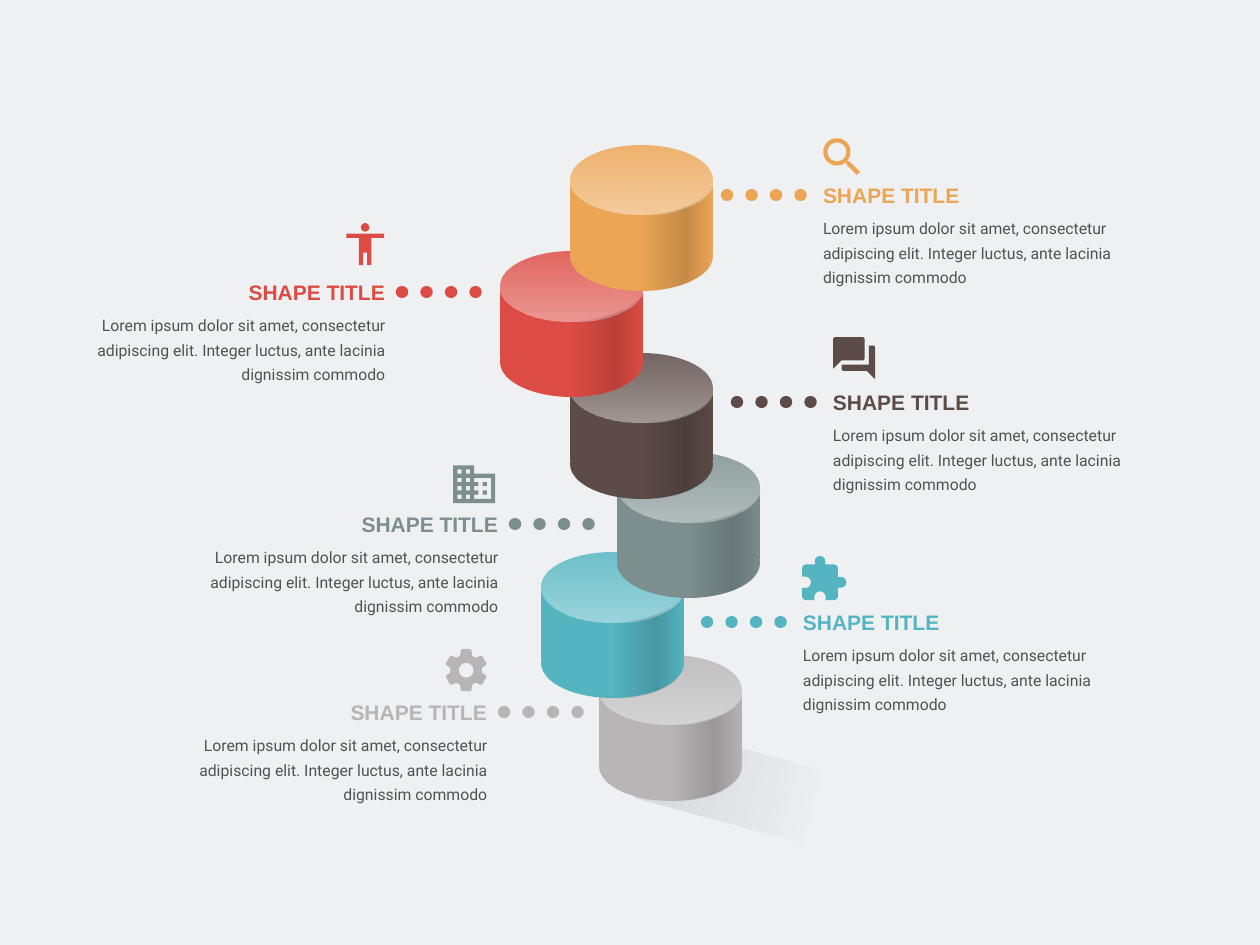
from math import cos, sin, radians
from lxml.etree import SubElement as Sub
from pptx import Presentation
from pptx.dml.color import RGBColor as Rgb
from pptx.enum.dml import MSO_LINE as Dash
from pptx.enum.shapes import MSO_CONNECTOR as Link, MSO_SHAPE as Kind
from pptx.enum.text import MSO_ANCHOR as Anchor, MSO_AUTO_SIZE as Auto, PP_ALIGN as Align
from pptx.oxml.ns import qn
from pptx.util import Pt

PX = 914400 / 126
GRID = 100
UNIT = 15240 / GRID

BACK = Rgb(0xEE, 0xF0, 0xF2)
BLACK = Rgb(0, 0, 0)
WHITE = Rgb(0xFF, 0xFF, 0xFF)
RED = Rgb(0xDD, 0x4C, 0x44)
TEAL = Rgb(0x54, 0xB5, 0xC1)
GOLD = Rgb(0xEC, 0xA5, 0x55)
GRAY = Rgb(0xB7, 0xB5, 0xB5)
SAGE = Rgb(0x7C, 0x8E, 0x8E)
BROWN = Rgb(0x5C, 0x4B, 0x46)

BODY = ("Lorem ipsum dolor sit amet, consectetur adipiscing elit. "
        "Integer luctus, ante lacinia dignissim commodo")


def px(n):
    return round(n * PX)


def arc(x, y, rx, start, end, ry=None, steps=16):
    ry = ry or rx
    turns = [radians(start + (end - start) * i / steps) for i in range(steps + 1)]
    return [(x + rx * cos(t), y + ry * sin(t)) for t in turns]


def ring(x, y, r):
    return arc(x, y, r, 0, 360, steps=40)


def box(x, y, size=2):
    return [(x, y), (x + size, y), (x + size, y + size), (x, y + size)]


def spin(dots, deg):
    c, s = cos(radians(deg)), sin(radians(deg))
    return [(12 + (x - 12) * c - (y - 12) * s,
             12 + (x - 12) * s + (y - 12) * c) for x, y in dots]


def person():
    return [ring(12, 4, 2),
            [(21, 9), (15, 9), (15, 22), (13, 22), (13, 16), (11, 16),
             (11, 22), (9, 22), (9, 9), (3, 9), (3, 7), (21, 7)]]


def puzzle():
    return [[(19, 11)] + arc(17, 7, 2, 0, -90) + [(13, 5)]
            + arc(10.5, 3.5, 2.5, 0, -180) + [(8, 5)]
            + arc(4, 7, 2, 270, 180) + [(2, 10.8)]
            + arc(3.5, 13.5, 2.7, -90, 90) + [(2, 16.2)]
            + arc(4, 20, 2, 180, 90) + [(7.8, 22)]
            + arc(10.5, 20.5, 2.7, 180, 360) + [(13.2, 22)]
            + arc(17, 20, 2, 90, 0) + [(19, 16)]
            + arc(20.5, 13.5, 2.5, 90, -90)]


def lens():
    rim = arc(9.5, 9.5, 6.5, 41, -311, steps=40)
    grip = [(14, 14.71), (14, 15.5), (19, 20.49), (20.49, 19),
            (15.5, 14), (14.71, 14)]
    return [rim + grip, ring(9.5, 9.5, 4.5)]


def gear():
    tooth = [(9.13, 5.07), (9.51, 2.42), (10, 2), (14, 2),
             (14.49, 2.42), (14.87, 5.07)]
    rim = [dot for i in range(6) for dot in spin(tooth, 60 * i)]
    return [rim, ring(12, 12, 3.5)]


def office():
    wall = [(12, 7), (12, 3), (2, 3), (2, 21), (22, 21), (22, 7)]
    room = [(20, 19), (12, 19), (12, 17), (14, 17), (14, 15), (12, 15),
            (12, 13), (14, 13), (14, 11), (12, 11), (12, 9), (20, 9)]
    panes = [box(x, y) for x in (4, 8) for y in range(5, 18, 4)]
    return [wall, room] + panes + [box(16, 11), box(16, 15)]


def chat():
    rear = ([(19, 6), (19, 15), (6, 15)] + arc(7, 17, 1, 180, 90)
            + [(18, 18), (22, 22)] + arc(21, 7, 1, 0, -90))
    front = (arc(16, 12, 1, 90, 0) + arc(16, 3, 1, 0, -90)
             + arc(3, 3, 1, 270, 180) + [(2, 17), (6, 13)])
    return [rear, front]


class Deck:
    font, head = "Roboto", "Arial"

    def __init__(self):
        self.prs = Presentation()
        self.prs.slide_width, self.prs.slide_height = px(1260), px(945)
        self.page = self.prs.slides.add_slide(self.prs.slide_layouts[6])
        fill = self.page.background.fill
        fill.solid()
        fill.fore_color.rgb = BACK

    def paint(self, shape, color):
        shape.shadow.inherit = False
        shape.line.fill.background()
        shape.fill.solid()
        shape.fill.fore_color.rgb = color

    def fade(self, shape, color, stops, deg):
        self.paint(shape, color)
        props = shape.fill._xPr
        old = props.find(qn("a:solidFill"))
        grad = props.makeelement(qn("a:gradFill"), {"rotWithShape": "1"})
        props.replace(old, grad)
        row = Sub(grad, qn("a:gsLst"))
        for pos, alpha in stops:
            stop = Sub(row, qn("a:gs"), pos=str(pos * 1000))
            tone = Sub(stop, qn("a:srgbClr"), val=str(color))
            Sub(tone, qn("a:alpha"), val=str(alpha * 1000))
        Sub(grad, qn("a:lin"), ang=str(deg * 60000), scaled="0")

    def shape(self, kind, x, y, w, h, home=None):
        home = home or self.page
        return home.shapes.add_shape(kind, px(x), px(y), px(w), px(h))

    def trace(self, loops, x, y, unit):
        pen = None
        for loop in loops:
            dots = [(a * GRID, b * GRID) for a, b in loop]
            if pen is None:
                pen = self.page.shapes.build_freeform(*dots[0], scale=unit)
            else:
                pen.move_to(*dots[0])
            pen.add_line_segments(dots[1:], close=True)
        return pen.convert_to_shape(px(x), px(y))

    def icon(self, loops, x, y, color):
        self.paint(self.trace(loops, x, y, UNIT), color)

    def shadow(self, x, y, w, h, deg):
        shape = self.shape(Kind.RECTANGLE, x, y, w, h)
        shape.rotation = deg
        self.fade(shape, BLACK, [(0, 11), (94, 0)], 0)

    def drum(self, x, y, color):
        w, h, drop = 143, 70, 76
        group = self.page.shapes.add_group_shape()
        for kind, dy in ((Kind.FLOWCHART_PROCESS, 37), (Kind.OVAL, drop), (Kind.OVAL, 0)):
            self.paint(self.shape(kind, x, y + dy, w, h, group), color)
        lid = self.shape(Kind.OVAL, x, y, w, h)
        self.fade(lid, WHITE, [(0, 14), (100, 43)], 90)
        rx, ry = w / 2, h / 2
        side = (arc(rx, ry + drop, rx, 0, 89, ry) + arc(rx, ry, rx, 89, 0, ry))
        shade = self.trace([side], x, y, PX / GRID)
        self.fade(shade, BLACK, [(0, 0), (61, 16), (100, 0)], 0)

    def text(self, words, x, y, h, size, name, color, align):
        label = self.page.shapes.add_textbox(px(x), px(y), px(346), px(h))
        frame = label.text_frame
        frame.word_wrap = True
        frame.auto_size = Auto.SHAPE_TO_FIT_TEXT
        frame.margin_left = frame.margin_right = 0
        frame.margin_top = frame.margin_bottom = 0
        para = frame.paragraphs[0]
        para.alignment = align
        run = para.add_run()
        run.text = words
        run.font.size, run.font.name = Pt(size), name
        run.font.color.rgb = color
        return frame, para, run

    def dots(self, x, y, color):
        line = self.page.shapes.add_connector(Link.STRAIGHT, px(x), px(y), px(x + 79), px(y))
        line.line.color.rgb = color
        line.line.width = Pt(7)
        line.line.dash_style = Dash.ROUND_DOT
        line.line._ln.set("cap", "rnd")
        Sub(line._element.spPr, qn("a:effectLst"))

    def note(self, x, y, color, right):
        left = x if right else x - 346
        align = Align.LEFT if right else Align.RIGHT
        _, para, run = self.text(BODY, left, y + 30, 72, 9, self.font, BLACK, align)
        para.line_spacing = 1.3
        tone = next(run._r.iter(qn("a:srgbClr")))
        Sub(tone, qn("a:alpha"), val="65000")
        frame, _, run = self.text("SHAPE TITLE", left, y, 25, 12, self.head, color, align)
        frame.vertical_anchor = Anchor.MIDDLE
        run.font.bold = True
        self.dots(x - 96 if right else x + 17, y + 12, color)


def main():
    deck = Deck()
    deck.shadow(641, 746, 176, 76, 15)
    for draw, x, y, color in (
            (person, 340, 219, RED), (puzzle, 798, 554, TEAL), (lens, 817, 132, GOLD),
            (gear, 441, 645, GRAY), (office, 449, 459, SAGE), (chat, 829, 333, BROWN)):
        deck.icon(draw(), x, y, color)
    for x, y, color in ((599, 655, GRAY), (541, 552, TEAL), (617, 452, SAGE),
                        (570, 353, BROWN), (500, 251, RED), (570, 145, GOLD)):
        deck.drum(x, y, color)
    for x, y, color, right in (
            (823, 183, GOLD, True), (833, 390, BROWN, True), (803, 610, TEAL, True),
            (498, 512, SAGE, False), (487, 700, GRAY, False), (385, 280, RED, False)):
        deck.note(x, y, color, right)
    deck.prs.save("out.pptx")


if __name__ == "__main__":
    main()
